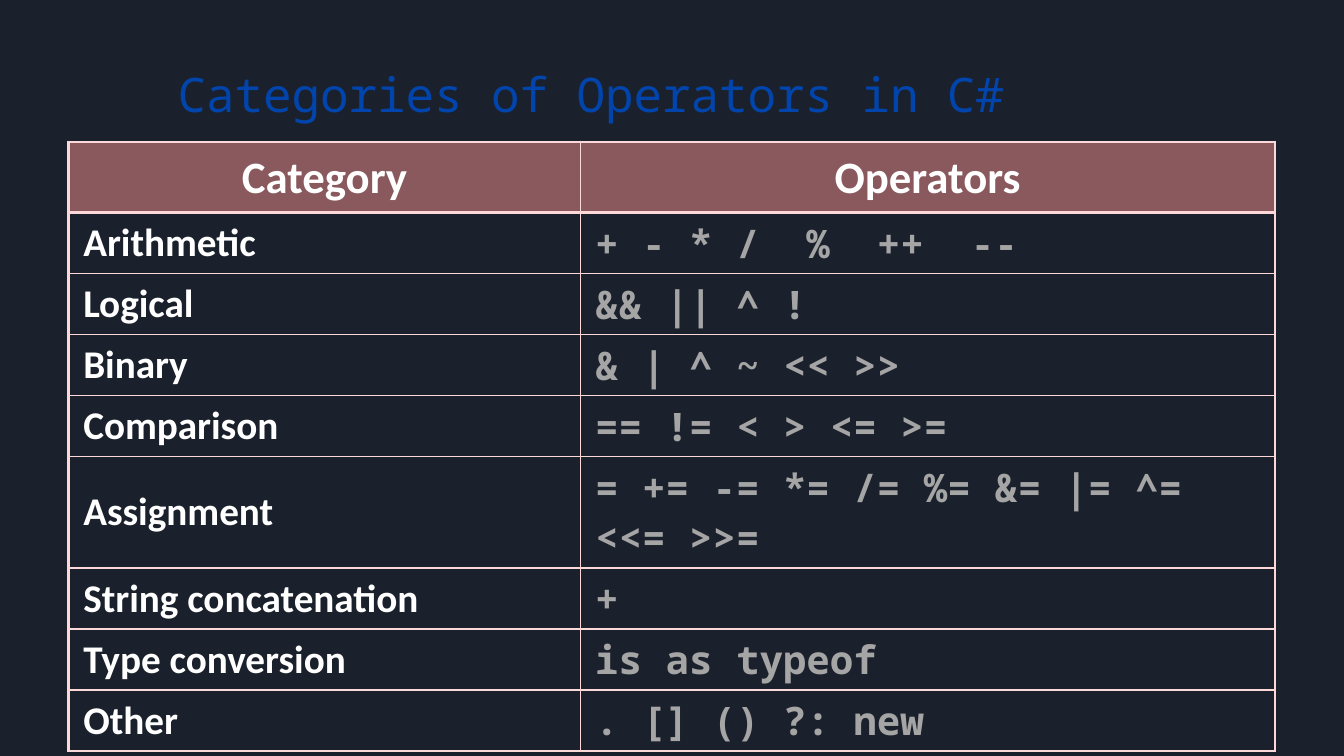
from lxml import etree
from pptx import Presentation
from pptx import util as u
from pptx.dml.color import RGBColor
from pptx.enum import text
from pptx.oxml.ns import qn

COLOURS = {
    "background": "1B212C",
    "title": "0145AC",
    "header": "F8928E",
    "border": "FCD9D8",
    "category": "FFFFFF",
    "operators": "A5A5A5",
}
SANS, MONO = "Calibri", "Noto Sans Mono"
HEADINGS = ("Category", "Operators")
OPERATORS = {
    "Arithmetic": "+ - * /  %  ++  --",
    "Logical": "&& || ^ !",
    "Binary": "& | ^ ~ << >>",
    "Comparison": "== != < > <= >=",
    "Assignment": "= += -= *= /= %= &= |= ^= <<= >>=",
    "String concatenation": "+",
    "Type conversion": "is as typeof",
    "Other": ". [] () ?: new",
}
COLUMN_WIDTHS = (12.9, 17.5)
HEADER_HEIGHT, ROW_HEIGHT, WRAPPED_HEIGHT = 1.78, 1.53, 2.8
THICK, THIN = 2.25, 1


def set_all(target, values):
    for name, value in values.items():
        setattr(target, name, value)


class OperatorSlide:
    def __init__(self, deck):
        self.slide = deck.slides.add_slide(deck.slide_layouts[5])
        self.fill(self.slide.background.fill, "background")

    def fill(self, target, colour):
        target.solid()
        target.fore_color.rgb = RGBColor.from_string(COLOURS[colour])

    def wording(self, frame, words, colour, font, size, bold, spacing, align):
        frame.text = words
        paragraph = frame.paragraphs[0]
        set_all(paragraph, {"line_spacing": spacing, "alignment": align})
        style = paragraph.runs[0].font
        set_all(style, {"name": font, "size": u.Pt(size), "bold": bold})
        style.color.rgb = RGBColor.from_string(COLOURS[colour])

    def title(self, words):
        heading = self.slide.shapes.title
        set_all(heading, {"left": u.Cm(4.22), "top": u.Cm(0.03),
                          "width": u.Cm(25.4), "height": u.Cm(3.18)})
        set_all(heading.text_frame, {
            "vertical_anchor": text.MSO_ANCHOR.BOTTOM,
            "auto_size": text.MSO_AUTO_SIZE.NONE, "word_wrap": True})
        self.wording(heading.text_frame, words, "title", MONO, 34, False,
                     0.9, text.PP_ALIGN.LEFT)

    def borders(self, cell, widths):
        """Draw the left, right, top and bottom lines, widths in points."""
        properties = cell._tc.get_or_add_tcPr()
        for place, (side, width) in enumerate(zip("LRTB", widths)):
            line = etree.Element(qn(f"a:ln{side}"), w=str(u.Pt(width)))
            solid = etree.SubElement(line, qn("a:solidFill"))
            etree.SubElement(solid, qn("a:srgbClr"), val=COLOURS["border"])
            properties.insert(place, line)

    def cell(self, cell, words, is_header, is_operator):
        set_all(cell, {"margin_left": u.Cm(0.37), "margin_right": u.Cm(0.37),
                       "margin_top": u.Cm(0.13), "margin_bottom": u.Cm(0.13),
                       "vertical_anchor": text.MSO_ANCHOR.MIDDLE})
        if is_header:
            self.fill(cell.fill, "header")
            tint = cell._tc.tcPr.find(".//" + qn("a:srgbClr"))
            etree.SubElement(tint, qn("a:alpha"), val="50000")
            look = ("category", SANS, 32, True, 0.95, text.PP_ALIGN.CENTER)
        else:
            cell.fill.background()
            colour, font = ("operators", MONO) if is_operator else ("category", SANS)
            look = (colour, font, 28, True, 0.95, text.PP_ALIGN.LEFT)
        self.wording(cell.text_frame, words, *look)

    def table(self, rows):
        heights = [HEADER_HEIGHT] + [
            WRAPPED_HEIGHT if name == "Assignment" else ROW_HEIGHT
            for name, _ in rows[1:]]
        grid = self.slide.shapes.add_table(
            len(rows), len(COLUMN_WIDTHS), u.Cm(1.73), u.Cm(3.58),
            u.Cm(sum(COLUMN_WIDTHS)), u.Cm(sum(heights))).table
        for column, width in zip(grid.columns, COLUMN_WIDTHS):
            column.width = u.Cm(width)
        last = len(rows) - 1
        for r, (row, height) in enumerate(zip(rows, heights)):
            grid.rows[r].height = u.Cm(height)
            for c, words in enumerate(row):
                self.cell(grid.cell(r, c), words, r == 0, c == 1)
                outer = (c == 0, c == 1, r in (0, 1), r in (0, last))
                self.borders(grid.cell(r, c),
                             [THICK if edge else THIN for edge in outer])


def main():
    deck = Presentation()
    set_all(deck, {"slide_width": u.Cm(33.87), "slide_height": u.Cm(19.05)})
    page = OperatorSlide(deck)
    page.table([HEADINGS, *OPERATORS.items()])
    page.title("Categories of Operators in C#")
    deck.save("out.pptx")


if __name__ == "__main__":
    main()
